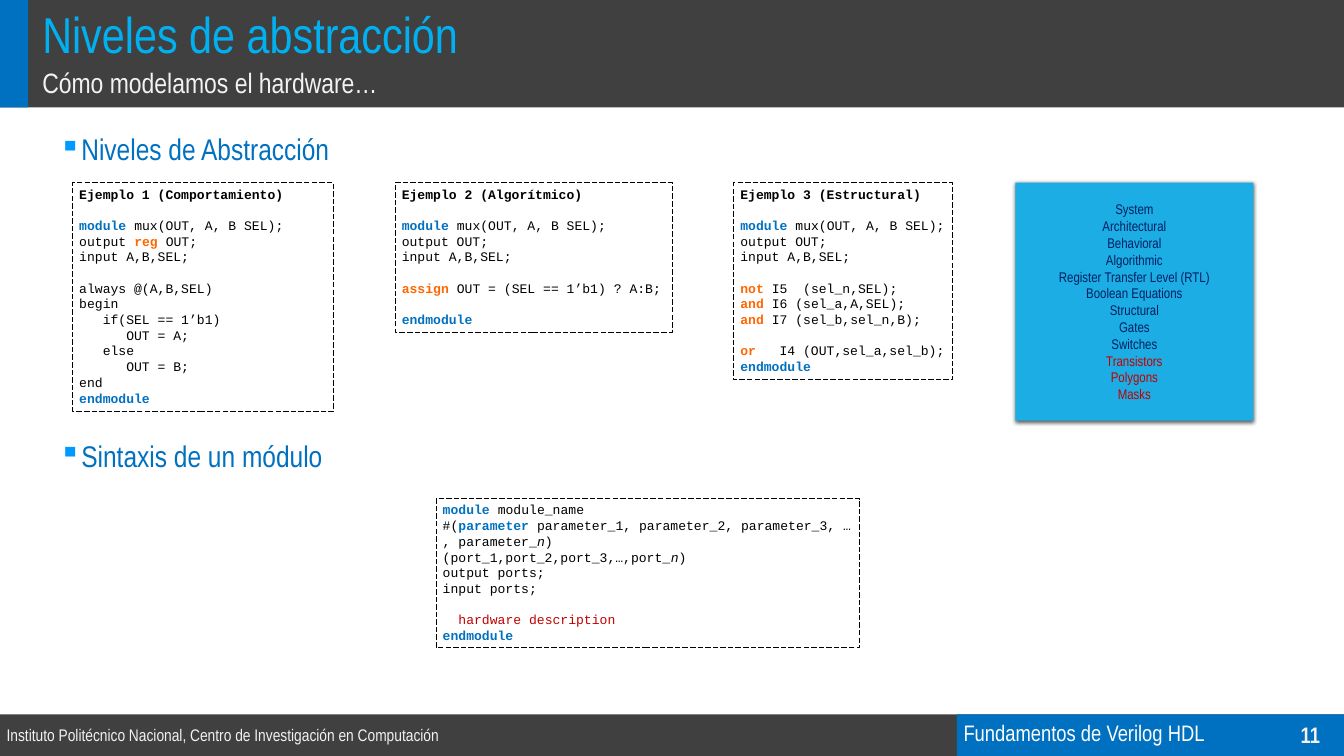
from lxml.etree import SubElement
from pptx import Presentation
from pptx.dml.color import RGBColor
from pptx.enum.dml import MSO_LINE
from pptx.enum.shapes import MSO_SHAPE
from pptx.enum.text import MSO_ANCHOR, PP_ALIGN
from pptx.oxml.ns import qn
from pptx.util import Pt

GRAY = RGBColor(0x40, 0x40, 0x40)
BLUE = RGBColor(0x00, 0x70, 0xC0)
SKY = RGBColor(0x00, 0xB0, 0xF0)
CYAN = RGBColor(0x1C, 0xAD, 0xE4)
NAVY = RGBColor(0x00, 0x20, 0x60)
RED = RGBColor(0xC0, 0x00, 0x00)
ORANGE = RGBColor(0xFF, 0x66, 0x00)
BLACK = RGBColor(0x00, 0x00, 0x00)
WHITE = RGBColor(0xFF, 0xFF, 0xFF)
PALE = RGBColor(0xF2, 0xF2, 0xF2)

PLAIN = {"color": BLACK}
HEAD = {"color": BLACK, "bold": True}
KEYWORD = {"color": BLUE, "bold": True}
GATE = {"color": ORANGE, "bold": True}
ITALIC = {"color": BLACK, "italic": True}
NOTE = {"color": RED}

MODULE = [("module ", KEYWORD), "mux(OUT, A, B SEL);"]
END = [("endmodule", KEYWORD)]
GAP = None

BEHAVIOR = [
    [("Ejemplo 1 (Comportamiento)", HEAD)], GAP,
    MODULE,
    ["output ", ("reg ", GATE), "OUT;"],
    ["input A,B,SEL;"], GAP,
    ["always @(A,B,SEL)"],
    ["begin"],
    ["   if(SEL == 1’b1)"],
    ["      OUT = A;"],
    ["   else"],
    ["      OUT = B;"],
    ["end"],
    END,
]
ALGORITHM = [
    [("Ejemplo 2 (Algorítmico)", HEAD)], GAP,
    MODULE,
    ["output OUT;"],
    ["input A,B,SEL;"], GAP,
    [("assign ", GATE), "OUT = (SEL == 1’b1) ? A:B;"], GAP,
    END,
]
STRUCTURE = [
    [("Ejemplo 3 (Estructural)", HEAD)], GAP,
    MODULE,
    ["output OUT;"],
    ["input A,B,SEL;"], GAP,
    [("not ", GATE), "I5  (sel_n,SEL);"],
    [("and ", GATE), "I6 (sel_a,A,SEL);"],
    [("and ", GATE), "I7 (sel_b,sel_n,B);"], GAP,
    [("or", GATE), "   I4 (OUT,sel_a,sel_b);"],
    END,
]
SYNTAX = [
    [("module ", KEYWORD), "module_name"],
    ["#(", ("parameter", KEYWORD),
     " parameter_1, parameter_2, parameter_3, … , parameter_", ("n", ITALIC), ")"],
    ["(port_1,port_2,port_3,…,port_", ("n", ITALIC), ")"],
    ["output ports;"],
    ["input ports;"], GAP,
    ["  ", ("hardware description", NOTE)],
    END,
]
LEVELS = ["System", "Architectural", "Behavioral", "Algorithmic",
          "Register Transfer Level (RTL)", "Boolean Equations", "Structural",
          "Gates", "Switches"]
PHYSICAL_LEVELS = ["Transistors", "Polygons", "Masks"]


class SlideWriter:
    text_font = "Arial Narrow"
    code_font = "Courier New"
    code_size = Pt(14)
    code_line = Pt(16.8)

    def __init__(self, page):
        self.page = page

    def span(self, para, text, color, **style):
        span = para.add_run()
        span.text = text
        span.font.color.rgb = color
        for name, value in ({"name": self.text_font} | style).items():
            setattr(span.font, name, value)

    def bar(self, left, top, width, height, color):
        bar = self.page.shapes.add_shape(
            MSO_SHAPE.RECTANGLE, Pt(left), Pt(top), Pt(width), Pt(height))
        bar.shadow.inherit = False
        bar.fill.solid()
        bar.fill.fore_color.rgb = color
        bar.line.fill.background()
        return bar

    def box(self, left, top, width, height, **frame):
        box = self.page.shapes.add_textbox(Pt(left), Pt(top), Pt(width), Pt(height))
        for name, value in ({"word_wrap": True} | frame).items():
            setattr(box.text_frame, name, value)
        return box

    def label(self, left, top, width, height, text, size, color,
              align=PP_ALIGN.LEFT, spacing=0.9, **style):
        box = self.box(left, top, width, height, vertical_anchor=MSO_ANCHOR.MIDDLE)
        para = box.text_frame.paragraphs[0]
        para.alignment = align
        para.line_spacing = spacing
        self.span(para, text, color, size=Pt(size), **style)

    def bullets(self, left, top, width, height, texts, gap):
        frame = self.box(left, top, width, height).text_frame
        for index, text in enumerate(texts):
            para = frame.add_paragraph() if index else frame.paragraphs[0]
            if index:
                para.space_before = Pt(gap)
            properties = para._p.get_or_add_pPr()
            properties.set("marL", str(Pt(18)))
            properties.set("indent", str(Pt(-18)))
            color = SubElement(properties, qn("a:buClr"))
            SubElement(color, qn("a:srgbClr"), val="0099FF")
            SubElement(properties, qn("a:buChar"), char="▪")
            self.span(para, text, BLUE, size=Pt(32))

    def code(self, left, top, width, height, lines, wrap=True):
        box = self.box(left, top, width, height, word_wrap=wrap)
        box.line.color.rgb = BLACK
        box.line.width = Pt(0.75)
        box.line.dash_style = MSO_LINE.LONG_DASH
        para = box.text_frame.paragraphs[0]
        for index, line in enumerate(lines):
            if line is GAP:
                continue
            if index:
                para = box.text_frame.add_paragraph()
                if lines[index - 1] is GAP:
                    para.space_before = self.code_line
            para.line_spacing = self.code_line
            for part in line:
                text, style = (part, PLAIN) if isinstance(part, str) else part
                self.span(para, text, name=self.code_font, size=self.code_size, **style)

    def level_card(self, left, top, width, height, groups):
        card = self.bar(left, top, width, height, CYAN)
        effects = card._element.spPr.find(qn("a:effectLst"))
        shadow = SubElement(effects, qn("a:outerShdw"), blurRad=str(Pt(4.5)),
                            dist=str(Pt(1.5)), dir="5400000", rotWithShape="0")
        tint = SubElement(shadow, qn("a:srgbClr"), val="000000")
        SubElement(tint, qn("a:alpha"), val="63000")
        frame = card.text_frame
        frame.vertical_anchor = MSO_ANCHOR.MIDDLE
        rows = [(text, color) for texts, color in groups for text in texts]
        for index, (text, color) in enumerate(rows):
            para = frame.add_paragraph() if index else frame.paragraphs[0]
            para.alignment = PP_ALIGN.CENTER
            self.span(para, text, color, size=Pt(15))


def main():
    deck = Presentation()
    deck.slide_width, deck.slide_height = Pt(1440), Pt(810)
    writer = SlideWriter(deck.slides.add_slide(deck.slide_layouts[6]))

    writer.bar(0, 765.4, 1440, 44.6, GRAY)
    writer.bar(1025.3, 765.4, 414.7, 44.6, BLUE)
    writer.bar(0, 0, 1440, 115.2, GRAY)
    writer.bar(0, 0, 30.2, 115.2, BLUE)

    writer.label(0, 765.4, 648.7, 43.2,
                 "Instituto Politécnico Nacional, Centro de Investigación en Computación",
                 18, PALE, spacing=1.0)
    writer.label(38.2, 10.1, 987, 60.5, "Niveles de abstracción", 54, SKY)
    writer.label(38.2, 72.7, 987, 35.3, "Cómo modelamos el hardware…", 30, PALE)
    writer.label(1025.3, 765.4, 342.7, 43.2, "Fundamentos de Verilog HDL", 24, WHITE)
    writer.label(1368, 765.4, 72, 43.2, "11", 24, PALE,
                 align=PP_ALIGN.CENTER, spacing=1.0, bold=True)

    writer.bullets(56.2, 136.8, 1354, 593.3,
                   ["Niveles de Abstracción", "Sintaxis de un módulo"], 290)

    writer.code(77.8, 195.8, 279.4, 244.8, BEHAVIOR)
    writer.code(423.4, 195.8, 296.6, 159.8, ALGORITHM)
    writer.code(786.2, 195.8, 234.7, 211, STRUCTURE, wrap=False)
    writer.code(467.3, 534.2, 453.6, 159.8, SYNTAX)
    writer.level_card(1088, 195.8, 254.9, 254.9,
                      [(LEVELS, NAVY), (PHYSICAL_LEVELS, RED)])

    deck.save("out.pptx")


if __name__ == "__main__":
    main()
